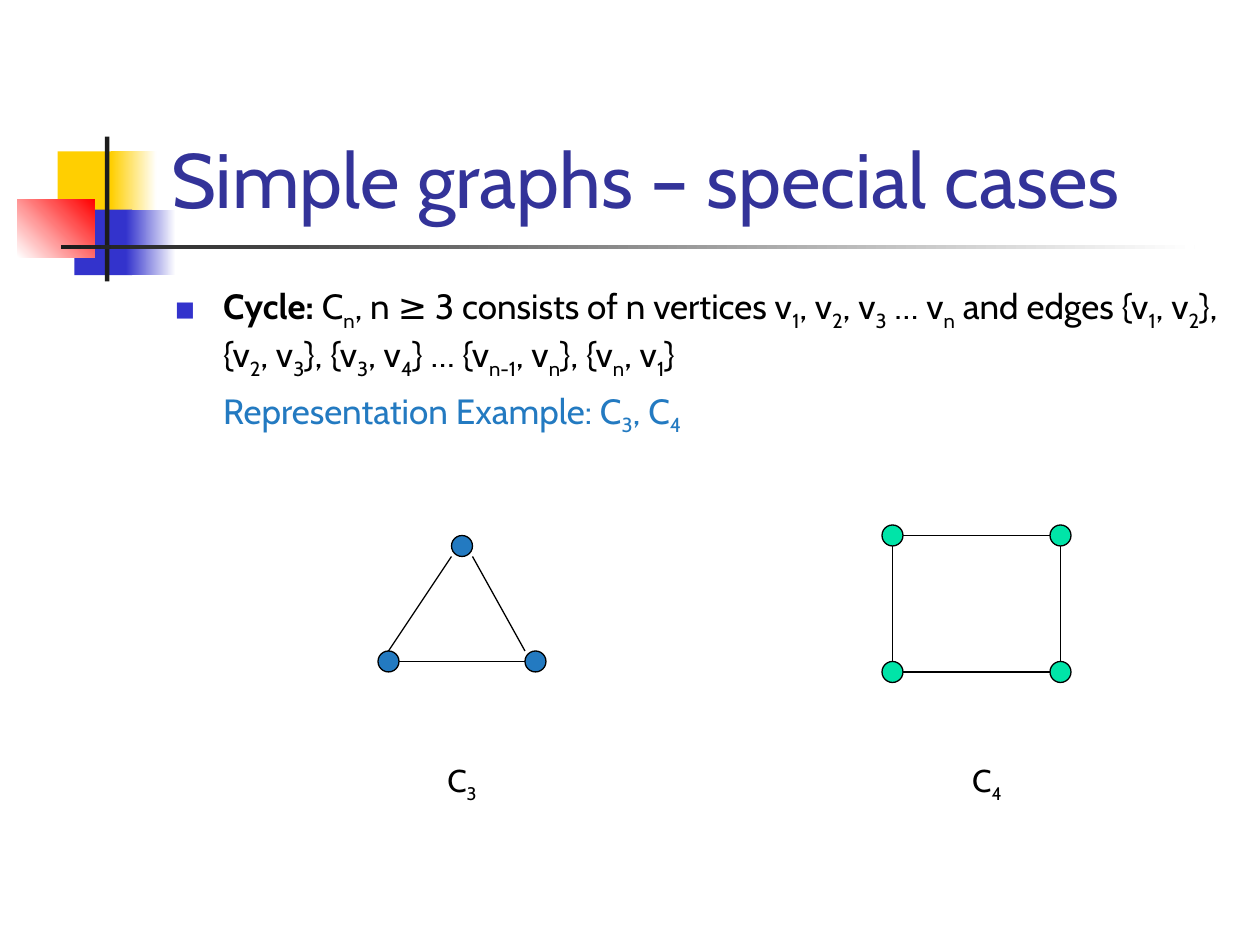
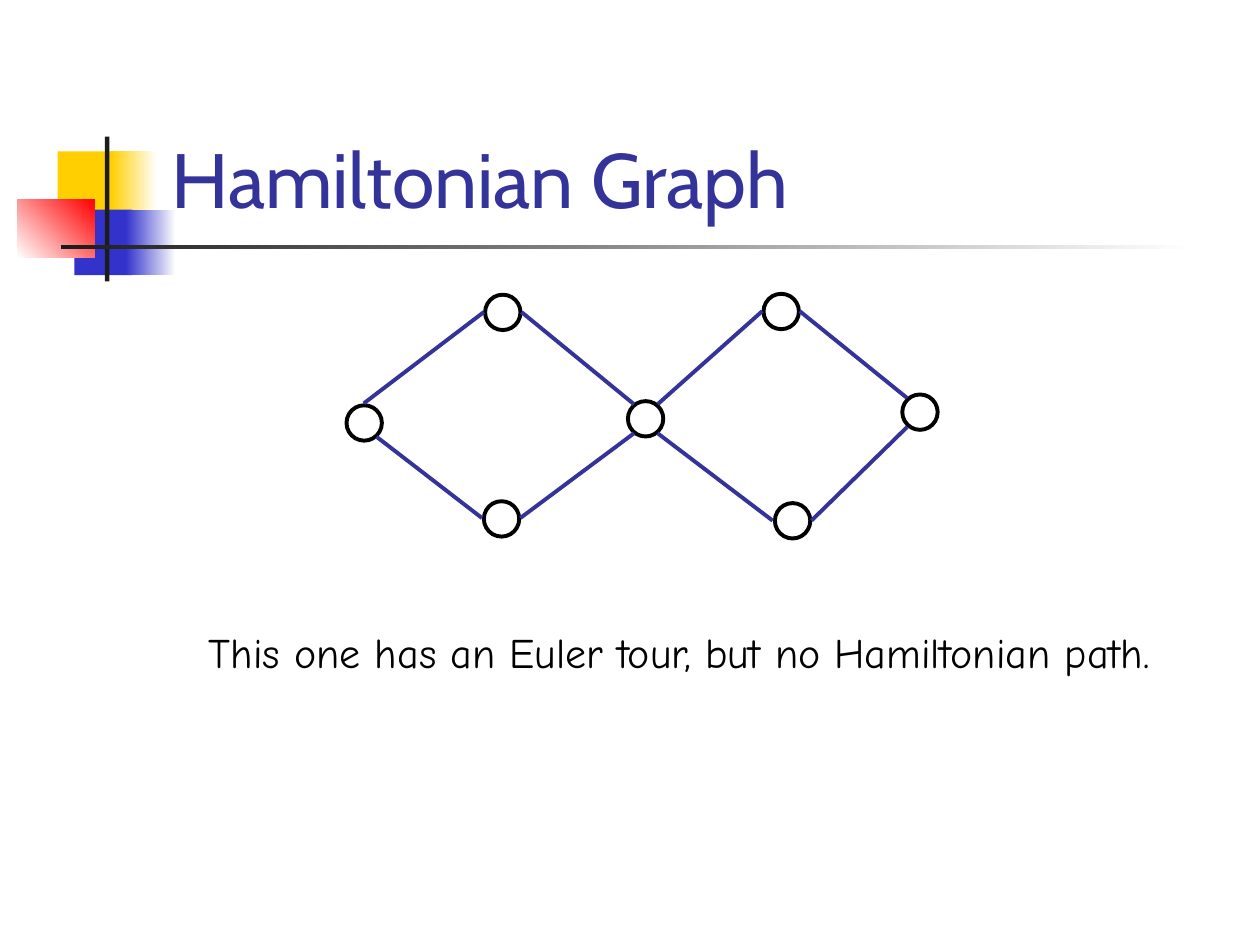
from lxml import etree
from pptx import Presentation
from pptx.dml.color import RGBColor
from pptx.enum.shapes import MSO_CONNECTOR, MSO_SHAPE
from pptx.enum.text import MSO_ANCHOR, MSO_AUTO_SIZE, PP_ALIGN
from pptx.oxml.ns import qn
from pptx.util import Pt

RECT, OVAL = MSO_SHAPE.RECTANGLE, MSO_SHAPE.OVAL
LINE = MSO_CONNECTOR.STRAIGHT
TOP, MIDDLE, BOTTOM = MSO_ANCHOR.TOP, MSO_ANCHOR.MIDDLE, MSO_ANCHOR.BOTTOM
LEFT, CENTER = PP_ALIGN.LEFT, PP_ALIGN.CENTER
FIXED = MSO_AUTO_SIZE.NONE


class Theme:
    white, black, dark = (RGBColor.from_string(c) for c in ("FFFFFF", "000000", "1C1C1C"))
    navy, royal, sky = (RGBColor.from_string(c) for c in ("333399", "3333CC", "237AC1"))
    gold, red, mint = (RGBColor.from_string(c) for c in ("FFCF01", "FF0000", "00E4A8"))
    title = {"name": "Cabin", "size": Pt(44), "bold": False}
    body = {"name": "Cabin", "size": Pt(20), "bold": False}
    strong = {**body, "bold": True}
    label = {"name": "Cabin", "size": Pt(18)}
    note = {"name": "Comic Neue", "size": Pt(24)}


def block(slide, kind, box, fill=None, ink=None, weight=0.75):
    """Add a shape; fill is a colour, None, or (start, end, angle)."""
    shape = slide.shapes.add_shape(kind, *map(Pt, box))
    shape.shadow.inherit = False
    if fill is None:
        shape.fill.background()
    elif len(fill) == 3 and not isinstance(fill, RGBColor):
        shape.fill.gradient()
        shape.fill.gradient_angle = fill[2]
        for stop, tone in zip(shape.fill.gradient_stops, fill):
            stop.color.rgb = tone
    else:
        shape.fill.solid()
        shape.fill.fore_color.rgb = fill
    if ink is None:
        shape.line.fill.background()
    else:
        shape.line.color.rgb = ink
        shape.line.width = Pt(weight)
    return shape


def write(para, text, form, tone=Theme.black):
    """Add runs; text between underscores is set as subscript."""
    for i, part in enumerate(text.split("_")):
        if not part:
            continue
        run = para.add_run()
        run.text = part
        for key, value in form.items():
            setattr(run.font, key, value)
        run.font.color.rgb = tone
        if i % 2:
            run._r.get_or_add_rPr().set("baseline", "-25000")


deck = Presentation()
deck.slide_width, deck.slide_height = Pt(720), Pt(540)
cases = deck.slides.add_slide(deck.slide_layouts[1])
tour = deck.slides.add_slide(deck.slide_layouts[5])

# Corner motif and rule, moved to the master behind its placeholders
motif = [
    ((33, 86.5, 34.5, 37.5), Theme.gold),
    ((63.5, 86.5, 26, 37.5), (Theme.gold, Theme.white, 0)),
    ((42.5, 119.75, 33, 37.5), Theme.royal),
    ((72, 119.75, 28.5, 37.5), (Theme.royal, Theme.white, 0)),
    ((10, 113.75, 44, 33.25), (Theme.white, Theme.red, 45)),
    ((60, 78, 2.5, 82.75), Theme.dark),
    ((34.75, 140.1, 648, 2.5), (Theme.dark, Theme.white, 0)),
]
tree = deck.slide_master.element.cSld.spTree
for i, (box, fill) in enumerate(motif):
    part = block(cases, RECT, box, fill).element
    part.nvSpPr.cNvPr.set("id", str(100 + i))
    tree.insert(2 + i, part)

# Titles
for slide, text in ((cases, "Simple graphs – special cases"), (tour, "Hamiltonian Graph")):
    title = slide.shapes.title
    title.left, title.top, title.width, title.height = map(Pt, (90.75, 16.5, 613.5, 115.25))
    frame = title.text_frame
    frame.auto_size, frame.vertical_anchor = FIXED, BOTTOM
    para = frame.paragraphs[0]
    para.alignment = LEFT
    write(para, text, Theme.title, Theme.navy)

# Cycle definition
body = cases.placeholders[1]
body.left, body.top, body.width, body.height = map(Pt, (92.9, 159.1, 612, 123))
frame = body.text_frame
frame.auto_size, frame.vertical_anchor = FIXED, TOP
rule, sample = frame.paragraphs[0], frame.add_paragraph()
for para, indent, gap in ((rule, -27.4, 0), (sample, 0, 5)):
    para.space_before = Pt(gap)
    props = para._p.get_or_add_pPr()
    props.set("marL", str(Pt(27.4)))
    props.set("indent", str(Pt(indent)))
props = rule._p.get_or_add_pPr()
tint = etree.SubElement(props, qn("a:buClr"))
etree.SubElement(tint, qn("a:srgbClr"), val=str(Theme.royal))
etree.SubElement(props, qn("a:buSzPct"), val="60000")
etree.SubElement(props, qn("a:buFont"), typeface="Cabin")
etree.SubElement(props, qn("a:buChar"), char="■")
etree.SubElement(sample._p.get_or_add_pPr(), qn("a:buNone"))
write(rule, "Cycle:", Theme.strong)
write(rule, " C_n_, n ≥ 3 consists of n vertices v_1_, v_2_, v_3_ … v_n_ and edges "
      "{v_1_, v_2_}, {v_2_, v_3_}, {v_3_, v_4_} … {v_n-1_, v_n_}, {v_n_, v_1_}", Theme.body)
write(sample, "Representation Example: C_3_, C_4_", Theme.body, Theme.sky)

# Graphs: slide, node size, fill, edge colour, weight, node corners, edges
graphs = [
    (cases, 12, Theme.sky, Theme.black, 0.75,
     [(216, 372), (300, 372), (258, 306)],
     [(228, 378, 300, 378), (270, 318, 300, 372), (258, 318, 222, 372)]),
    (cases, 12, Theme.mint, Theme.black, 0.75,
     [(x, y) for y in (300, 378) for x in (504, 600)],
     [(516, y, 600, y) for y in (306, 384)] + [(x, 312, x, 378) for x in (510, 606)]),
    (tour, 20.2, None, Theme.navy, 2.25,
     [(277.2, 168.4), (198, 231.6), (358.8, 229.2), (276.5, 286.4),
      (436.3, 167.9), (515.6, 225.4), (442.8, 287.5)],
     [(276.5, 178.3, 207.9, 230.5), (298, 178.3, 362.3, 231),
      (275.4, 296, 215.2, 249.6), (297.4, 296, 362.3, 247.6),
      (375.8, 231, 435.6, 177.8), (518.4, 227.5, 457, 177.8),
      (441.5, 297.5, 375.8, 247.6), (518.4, 244, 463.7, 297.5)]),
]
for slide, size, fill, ink, weight, nodes, edges in graphs:
    for x, y in nodes:
        block(slide, OVAL, (x, y, size, size), fill, Theme.black, weight)
    for ends in edges:
        edge = slide.shapes.add_connector(LINE, *map(Pt, ends))
        edge.line.color.rgb = ink
        edge.line.width = Pt(weight)
        etree.SubElement(edge.element.spPr, qn("a:effectLst"))

# Graph labels
for x, text in ((252, "C_3_"), (552, "C_4_")):
    frame = block(cases, RECT, (x, 438, 24, 18), Theme.white, Theme.white).text_frame
    frame.word_wrap, frame.vertical_anchor = False, MIDDLE
    para = frame.paragraphs[0]
    para.alignment = CENTER
    write(para, text, Theme.label)

# Caption
frame = tour.shapes.add_textbox(*map(Pt, (95.75, 354.25, 584.75, 36))).text_frame
frame.word_wrap = False
frame.margin_left = frame.margin_right = Pt(21.6)
para = frame.paragraphs[0]
para.alignment = CENTER
write(para, "This one has an Euler tour, but no Hamiltonian path.", Theme.note)

deck.save("out.pptx")
